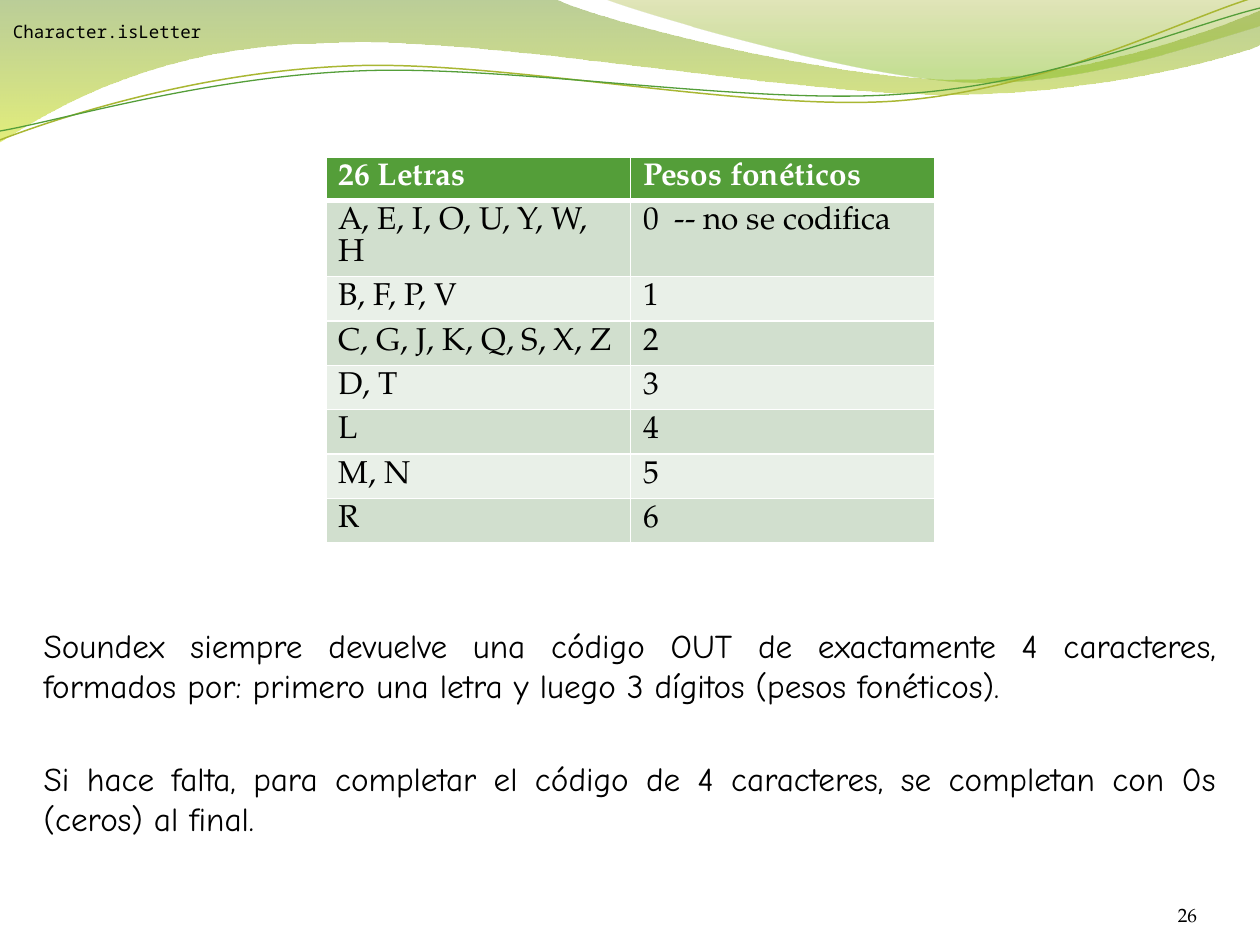
from math import cos, radians, sin

from lxml import etree
from pptx import Presentation
from pptx.dml.color import RGBColor
from pptx.enum.text import MSO_ANCHOR, MSO_AUTO_SIZE, PP_ALIGN
from pptx.oxml.ns import qn
from pptx.util import Pt

TOP, MID, BOTTOM = MSO_ANCHOR.TOP, MSO_ANCHOR.MIDDLE, MSO_ANCHOR.BOTTOM
LEFT, RIGHT, JUST = PP_ALIGN.LEFT, PP_ALIGN.RIGHT, PP_ALIGN.JUSTIFY
SCALE = 914400 / 126
TILT = -2.7

COLORS = {
    "black": "000000", "white": "FFFFFF", "head": "549E39",
    "odd": "D1DFCE", "even": "E9F0E8", "olive": "A9B733",
    "moss": "69921C", "lime": "CCE10F", "sand": "9BAA1A", "leaf": "81BA16",
}
SERIF, HAND, MONO = "TeX Gyre Pagella", "Comic Neue", "Noto Sans Mono"

# Content
ROWS = [
    ("26 Letras", "Pesos fonéticos"),
    ("A, E, I, O, U, Y, W, H", "0  -- no se codifica"),
    ("B, F, P, V", "1"),
    ("C, G, J, K, Q, S, X, Z", "2"),
    ("D, T", "3"),
    ("L", "4"),
    ("M, N", "5"),
    ("R", "6"),
]
NOTES = [
    "Soundex siempre devuelve una código OUT de exactamente 4 caracteres, "
    "formados por: primero una letra y luego 3 dígitos (pesos fonéticos).",
    "Si hace falta, para completar el código de 4 caracteres, "
    "se completan con 0s (ceros) al final.",
]
LABELS = [  # text, box, font, size, align, anchor, insets
    ("26", (1092, 876, 105, 50), SERIF, 11, RIGHT, BOTTOM, (0, 0)),
    ("Character.isLetter", (0, 0, 1260, 63), MONO, 10, LEFT, MID, (13, 6)),
]

# Waves: one pair is a straight step, three pairs are a Bezier curve
BANDS = [  # start, steps, gradient stops (place, colour, opacity %)
    ((0, 0), [
        [(555, -1)],
        [(599, 21), (835, 79), (955, 79)],
        [(1075, 79), (1207, 33), (1260, 11)],
        [(1261, 45)],
        [(1239, 55), (1095, 96), (940, 94)],
        [(784, 94), (480, 35), (324, 43)],
        [(163, 45), (58, 105), (-1, 142)],
    ], [(0, "moss", 45), (1, "lime", 55)]),
    ((604, -1), [
        [(641, 14), (859, 78), (968, 82)],
        [(1077, 87), (1211, 40), (1260, 26)],
        [(1260, 0)],
    ], [(0, "sand", 30), (0.8, "leaf", 45)]),
]
CURVES = [  # start, steps, centre, colour, width
    ((0, 140), [
        [(60, 117), (198, 72), (348, 66)],
        [(498, 59), (746, 112), (897, 101)],
        [(1050, 89), (1182, 19), (1256, -3)],
    ], (629, 72), "olive", 0.85),
    ((0, 131), [
        [(59, 121), (205, 77), (357, 71)],
        [(507, 64), (752, 106), (903, 94)],
        [(1053, 84), (1186, 26), (1260, 8)],
    ], (629, 74), "head", 0.75),
]


def px(n):
    return round(n * SCALE)


def rgb(name):
    return RGBColor.from_string(COLORS[name])


def put(obj, **vals):
    for key, val in vals.items():
        setattr(obj, key, val)


def place(shape, box):
    put(shape, **dict(zip(("left", "top", "width", "height"), map(px, box))))


def style(para, font, size, color="black", bold=False):
    put(para.font, name=font, size=Pt(size), bold=bold)
    para.font.color.rgb = rgb(color)


def turn(dot, hub, angle):
    """Turn a point clockwise about a hub."""
    a = radians(angle)
    x, y = dot[0] - hub[0], dot[1] - hub[1]
    return (hub[0] + x * cos(a) - y * sin(a),
            hub[1] + x * sin(a) + y * cos(a))


def wave(slide, start, steps, hub=None):
    """Draw a closed band, or a tilted open curve when a hub is given."""
    dots = [start] + [dot for step in steps for dot in step]
    if hub:
        dots = [turn(dot, hub, -TILT) for dot in dots]
    dots = [(px(x), px(y)) for x, y in dots]
    pen = slide.shapes.build_freeform(*dots[0], scale=1.0)
    pen.add_line_segments(dots[1:], close=not hub)
    shape = pen.convert_to_shape()
    shape.shadow.inherit = False
    if hub:
        shape.rotation = 360 + TILT
    # Join each three straight steps of a curve into one Bezier step
    parts = iter(list(shape.element.iter(qn("a:lnTo"))))
    for step in steps:
        group = [next(parts) for dot in step]
        if len(group) == 3:
            bend = etree.Element(qn("a:cubicBezTo"))
            group[0].addprevious(bend)
            for part in group:
                bend.append(part[0])
                part.getparent().remove(part)
    return shape


def blend(shape, stops):
    shape.line.fill.background()
    shape.fill.gradient()
    shape.fill.gradient_angle = 270
    tags = shape.element.iter(qn("a:gs"))
    for stop, tag, (spot, name, part) in zip(
            shape.fill.gradient_stops, list(tags), stops):
        stop.position = spot
        stop.color.rgb = rgb(name)
        etree.SubElement(tag[0], qn("a:alpha"), val=str(part * 1000))


def border(cell, row):
    sides = {"lnL": 1, "lnR": 1, "lnT": 1, "lnB": 1}
    if row == 0:
        sides["lnB"] = 3
    elif row == 1:
        del sides["lnT"]
    props = cell._tc.get_or_add_tcPr()
    for side, width in sides.items():
        line = etree.SubElement(props, qn("a:" + side), w=str(Pt(width)))
        fill = etree.SubElement(line, qn("a:solidFill"))
        etree.SubElement(fill, qn("a:srgbClr"), val=COLORS["white"])


def grid(slide):
    box = (326, 157, 609, 42 * len(ROWS))
    table = slide.shapes.add_table(len(ROWS), 2, *map(px, box)).table
    for r, row in enumerate(ROWS):
        for c, text in enumerate(row):
            cell = table.cell(r, c)
            cell.text = text
            border(cell, r)
            cell.fill.solid()
            cell.fill.fore_color.rgb = rgb(
                "head" if r == 0 else "odd" if r % 2 else "even")
            style(cell.text_frame.paragraphs[0], SERIF, 18,
                  "black" if r else "white", r == 0)


def body(slide):
    shape = slide.placeholders[1]
    place(shape, (31, 619, 1198, 236))
    frame = shape.text_frame
    put(frame, auto_size=MSO_AUTO_SIZE.NONE, vertical_anchor=TOP)
    frame.text = "\n".join(NOTES)
    for i, para in enumerate(frame.paragraphs):
        style(para, HAND, 19)
        put(para, alignment=JUST, space_before=Pt(30.5 * i))
        props = para._p.get_or_add_pPr()
        props.set("marL", "0")
        props.set("indent", "0")
        bullet = etree.Element(qn("a:buNone"))
        props.find(qn("a:spcBef")).addnext(bullet)


def label(slide, text, box, font, size, align, anchor, pads):
    frame = slide.shapes.add_textbox(*map(px, box)).text_frame
    wide, high = map(px, pads)
    put(frame, word_wrap=True, vertical_anchor=anchor, margin_left=wide,
        margin_right=wide, margin_top=high, margin_bottom=high)
    frame.text = text
    frame.paragraphs[0].alignment = align
    style(frame.paragraphs[0], font, size)


def main():
    deck = Presentation()
    put(deck, slide_width=px(1260), slide_height=px(945))
    slide = deck.slides.add_slide(deck.slide_layouts[1])
    title = slide.shapes.title.element
    title.getparent().remove(title)

    # Waves along the top
    for start, steps, stops in BANDS:
        blend(wave(slide, start, steps), stops)
    for start, steps, hub, color, width in CURVES:
        shape = wave(slide, start, steps, hub)
        shape.fill.background()
        shape.line.color.rgb = rgb(color)
        shape.line.width = Pt(width)

    # Table and text
    body(slide)
    grid(slide)
    for item in LABELS:
        label(slide, *item)
    deck.save("out.pptx")


if __name__ == "__main__":
    main()
